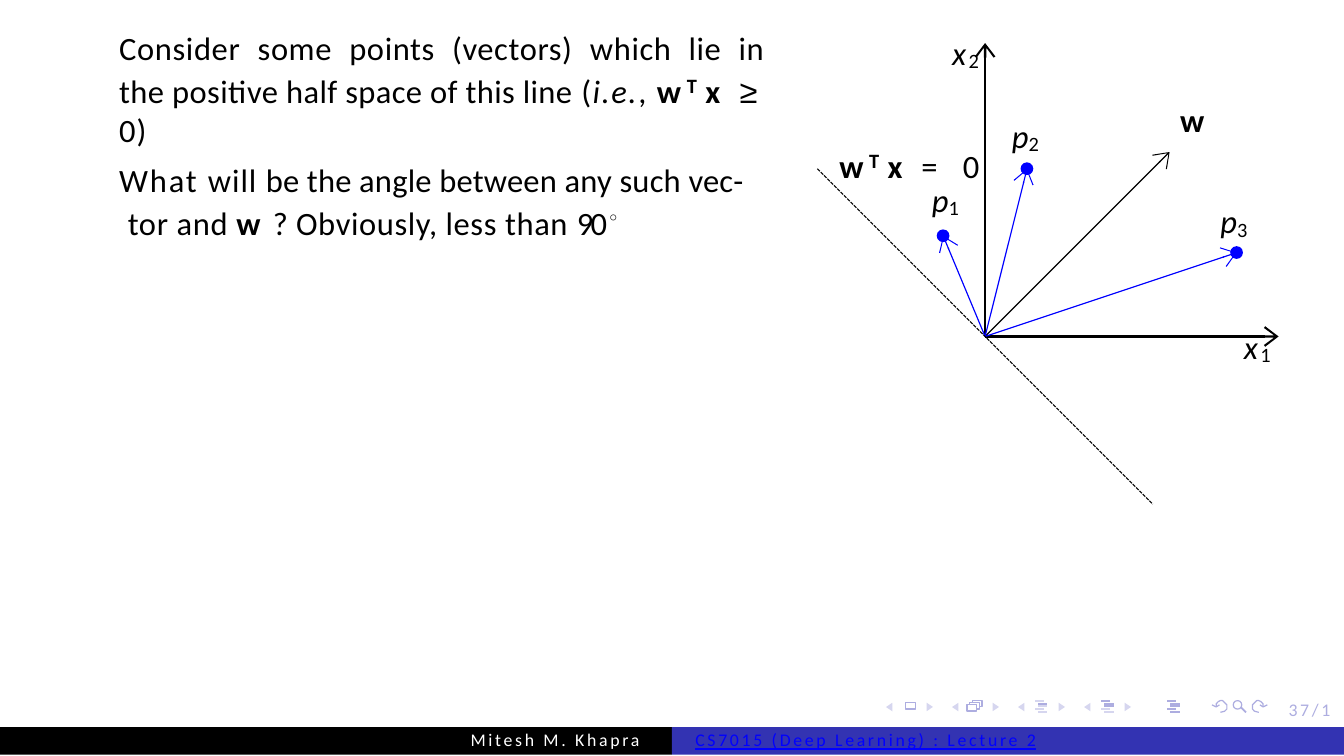
"""Build the slide on vectors in the positive half space of a decision line."""
import lxml.etree
import pptx
import pptx.dml.color
import pptx.enum.dml
import pptx.enum.shapes
import pptx.oxml.ns
import pptx.util

BLACK, BLUE, WHITE = "000000", "0000FF", "FFFFFF"
INDIGO, LILAC, PALE = "3333B2", "ADADE0", "D6D6EF"
CELL = pptx.util.Inches(0.01)
COLUMNS, ROWS = 631, 355
colour = pptx.dml.color.RGBColor.from_string
qn = pptx.oxml.ns.qn
Preset = pptx.enum.shapes.MSO_SHAPE

deck = pptx.Presentation()
deck.slide_width, deck.slide_height = COLUMNS * CELL, ROWS * CELL
slide = deck.slides.add_slide(deck.slide_layouts[6])
shapes = slide.shapes


def draw_line(start, end, ink, weight, arrow=False):
    ends = [round(value * CELL) for value in (*start, *end)]
    line = shapes.add_connector(pptx.enum.shapes.MSO_CONNECTOR.STRAIGHT, *ends)
    line.line.color.rgb = colour(ink)
    line.line.width = pptx.util.Pt(weight)
    if arrow:
        lxml.etree.SubElement(line.line._get_or_add_ln(), qn("a:tailEnd"), type="arrow", w="med", len="sm")
    lxml.etree.SubElement(line._element.spPr, qn("a:effectLst"))
    return line


def write(column, row, width, height, paragraphs, size=11, ink=BLACK):
    box = shapes.add_textbox(*[round(value * CELL) for value in (column, row, width, height)])
    frame = box.text_frame
    frame.word_wrap = True
    frame.margin_left = frame.margin_right = frame.margin_bottom = 0
    frame.margin_top = CELL if size == 11 else 0
    for number, runs in enumerate(paragraphs):
        paragraph = frame.add_paragraph() if number else frame.paragraphs[0]
        paragraph.font.name = "Calibri"
        paragraph.font.size = pptx.util.Pt(size)
        paragraph.font.color.rgb = colour(ink)
        for text, spacing, style in runs:
            if text == "\v":
                paragraph.add_line_break()
                continue
            run = paragraph.add_run()
            run.text = text
            properties = run._r.get_or_add_rPr()
            properties.set("spc", str(round(spacing * 100)))
            if "bold" in style:
                run.font.bold = True
            if "italic" in style:
                run.font.italic = True
            if "underline" in style:
                run.font.underline = True
            if "super" in style or "sub" in style:
                run.font.size = pptx.util.Pt(12)
                properties.set("baseline", "28000" if "super" in style else "-10000")
            if text == "◦":
                run.font.name = "Cambria"
            if text == "≥":
                run.font.name = "Courier New"
    return frame.paragraphs


# Navigation symbols
ICON_STEP, FIRST_ICON, ICON_ROW = 31, 427, 332
solids = []
for icon in range(4):
    for side, turn in ((-1, -90), (1, 90)):
        centre = FIRST_ICON + icon * ICON_STEP + side * 9.5
        solids.append((Preset.ISOSCELES_TRIANGLE, centre - 2, ICON_ROW - 1.5, 4, 3, PALE, None, turn))
solids.append((Preset.RECTANGLE, 425, 330, 5, 3, None, LILAC, 0))
for page in (2, 1, 0):
    solids.append((Preset.RECTANGLE, 454 + page * 1.3, 331 - page, 4.5, 3, WHITE, LILAC, 0))
solids.append((Preset.OVAL, 579, 329, 4, 4, None, LILAC, 0))

bar_indents = (0, 1.5, 1.5, 0, 1.5)
icon_bars = ((486, (1,)), (517, (0, 1, 2)), (548, range(5)))
for left, dark_bars in icon_bars:
    for bar, indent in enumerate(bar_indents):
        row = 329.2 + 1.25 * bar
        ink = LILAC if bar in dark_bars else PALE
        draw_line((left + indent, row), (left + indent + 4.3, row), ink, 0.6)
draw_line((582.5, 332), (585, 334.5), LILAC, 0.6)

back_arc = [(573, 334.5), (575, 334), (576, 333), (576, 331), (575, 330), (574, 329),
            (573, 329), (572, 329.5), (571, 330.5), (571, 332)]
back_head = [(572.5, 331), (571, 332), (569, 331)]
for outline in (back_arc, back_head):
    for mirrored in (False, True):
        points = [((1164 - x if mirrored else x) * 10, y * 10) for x, y in outline]
        builder = shapes.build_freeform(*points[0], scale=CELL / 10)
        builder.add_line_segments(points[1:], close=False)
        turn_arrow = builder.convert_to_shape()
        turn_arrow.fill.background()
        turn_arrow.line.color.rgb = colour(LILAC)
        turn_arrow.line.width = pptx.util.Pt(0.4)
        turn_arrow.shadow.inherit = False

# Vector diagram, one unit per centimetre
UNIT, ORIGIN = 1 / 2.54 * 100, (462.5, 158)
points = ((-0.5, 1.2), (0.5, 2), (3, 1))
arrows = [((3.5, 0), BLACK, 0.8), ((0, 3.5), BLACK, 0.8), ((2.2, 2.2), BLACK, 0.4)]
arrows += [(point, BLUE, 0.4) for point in points]
for (x, y), ink, weight in arrows:
    draw_line(ORIGIN, (ORIGIN[0] + x * UNIT, ORIGIN[1] - y * UNIT), ink, weight, arrow=True)
boundary = draw_line((ORIGIN[0] - 2 * UNIT, ORIGIN[1] - 2 * UNIT),
                     (ORIGIN[0] + 2 * UNIT, ORIGIN[1] + 2 * UNIT), BLACK, 0.4)
boundary.line.dash_style = pptx.enum.dml.MSO_LINE.SQUARE_DOT
DOT = 6
for x, y in points:
    solids.append((Preset.OVAL, ORIGIN[0] + x * UNIT - DOT / 2, ORIGIN[1] - y * UNIT - DOT / 2,
                   DOT, DOT, BLUE, None, 0))

# Footer bars
FOOTER_ROW, FOOTER_HEIGHT = 341.5, 13
for half, ink in enumerate((BLACK, INDIGO)):
    solids.append((Preset.RECTANGLE, half * COLUMNS / 2, FOOTER_ROW, COLUMNS / 2, FOOTER_HEIGHT, ink, None, 0))

for preset, left, top, width, height, fill, line, turn in solids:
    solid = shapes.add_shape(preset, *[round(value * CELL) for value in (left, top, width, height)])
    solid.rotation = turn
    solid.shadow.inherit = False
    if fill:
        solid.fill.solid()
        solid.fill.fore_color.rgb = colour(fill)
    else:
        solid.fill.background()
    if line:
        solid.line.color.rgb = colour(line)
        solid.line.width = pptx.util.Pt(0.4)
    else:
        solid.line.fill.background()

# Statement and question
opening = []
for word in "Consider some points (vectors) which lie in".split():
    opening += [(" ", 3.2, "")] if opening else []
    opening.append((word, 0.2, ""))
w_transpose_x = [("w", 1.9, "bold"), ("T", 2.8, "bold super"), ("x ", 1.9, "bold")]
condition = [("the positive half space of this line ", 0.1, ""), ("(", 0.5, ""), ("i.e.", 0.5, "italic"),
             (", ", 0.5, ""), *w_transpose_x, ("≥", -0.3, ""), ("\v", 0, ""), ("0)", 0.3, "")]
question = [("What ", 0.6, ""), ("will ", 0.3, ""), ("be the angle between any such vec-", 0.05, ""),
            ("\v", 0, ""), ("tor and ", 0.2, ""), ("w ", 0.8, "bold"), ("? ", 0.1, ""),
            ("Obviously, less than ", 0.2, ""), ("90", -0.9, ""), ("◦", -1.4, "super")]
body = write(56, 12, 305, 101, [opening, condition, question])
body[1].line_spacing, body[1].space_before = 0.96, pptx.util.Pt(1.5)
body[2].line_spacing, body[2].space_before = 1.03, pptx.util.Pt(3)
hanging = body[2]._p.get_or_add_pPr()
hanging.set("marL", str(4 * CELL))
hanging.set("indent", str(-4 * CELL))

# Diagram labels
subscripted = (("x", "1", 584, 151), ("x", "2", 447, 13),
               ("p", "1", 437.5, 82), ("p", "2", 475, 52), ("p", "3", 573, 92))
for letter, index, column, row in subscripted:
    spacing = 0.8 if letter == "x" else 0
    write(column, row, 22, 21, [[(letter, spacing, "italic"), (index, spacing, "sub")]])
write(554, 46, 15, 21, [[("w", 0.8, "bold")]])
write(394, 66, 68, 21, [w_transpose_x + [("= ", 3, ""), ("0", -0.1, "")]])

# Footer text
footer = ((605, 329, 24, "37/1", LILAC, ""), (221, 343, 86, "Mitesh M. Khapra", WHITE, ""),
          (326.5, 343, 170, "CS7015 (Deep Learning) : Lecture 2", BLUE, "underline"))
for column, row, width, text, ink, style in footer:
    line = write(column, row, width, 11, [[(text, 0.9, style)]], 6, ink)
    line[0].line_spacing = pptx.util.Pt(6.7)

deck.save("out.pptx")
